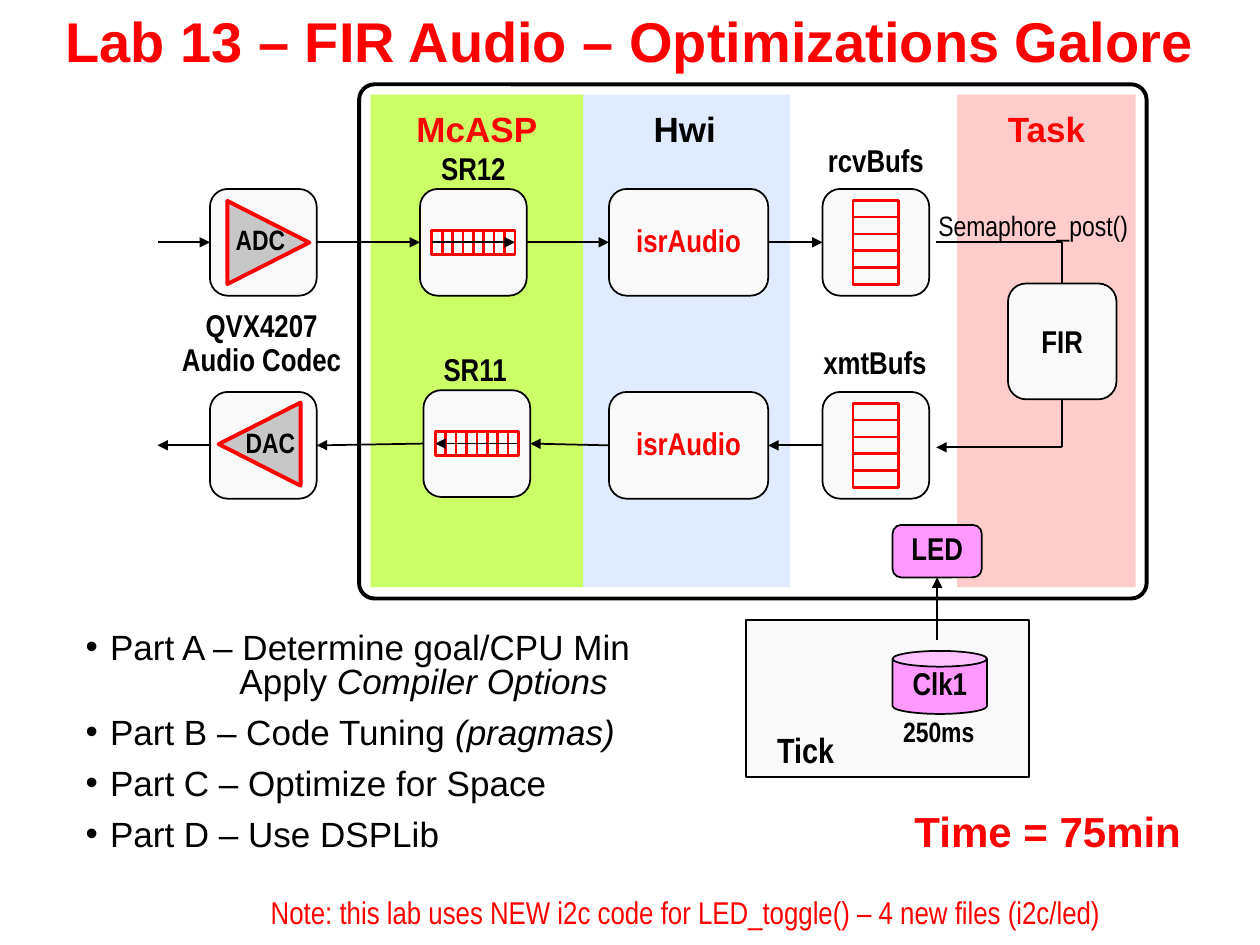
"""Build the Lab 13 slide: an audio FIR signal chain with its task list."""
from pptx import Presentation
from pptx.dml.color import RGBColor
from pptx.enum.shapes import MSO_CONNECTOR as Link, MSO_SHAPE as Shape
from pptx.enum.text import MSO_ANCHOR as Anchor, PP_ALIGN as Align
from pptx.oxml.ns import qn
from pptx.util import Pt
from lxml.etree import SubElement

BLACK = RGBColor(0x00, 0x00, 0x00)
WHITE = RGBColor(0xFF, 0xFF, 0xFF)
RED = RGBColor(0xFF, 0x00, 0x00)
PALE = RGBColor(0xF9, 0xF9, 0xF9)
GREY = RGBColor(0xC7, 0xC7, 0xC7)
PINK = RGBColor(0xFF, 0x99, 0xFF)
ROSE = RGBColor(0xFF, 0xCC, 0xCC)
SKY = RGBColor(0xE0, 0xEB, 0xFF)
LIME = RGBColor(0xCC, 0xFF, 0x66)
WIDE, NARROW = "Arial", "Arial Narrow"

BLOCK = 61
LABEL_WIDTH = 120
BAND_TOP, BAND_HEIGHT = 54, 281.5
BANDS = [("Task", 547, 102, ROSE, RED), ("Hwi", 331, 120.5, SKY, BLACK),
         ("McASP", 211.8, 121.5, LIME, RED)]
BLOCKS = {
    "adc": (120, 108, BLOCK, ""), "sr12": (240, 108, BLOCK, ""),
    "receive": (348, 108, 91, "isrAudio"), "rcvBufs": (470, 108, BLOCK, ""),
    "dac": (120, 224, BLOCK, ""), "sr11": (242, 223, BLOCK, ""),
    "transmit": (348, 224, 91, "isrAudio"), "xmtBufs": (470, 224, BLOCK, ""),
}
TRIANGLES = [(129.6, 115.2, 90), (124.6, 230.4, 270)]
REGISTERS = [("sr12", False), ("sr11", True)]
BUFFERS = ["rcvBufs", "xmtBufs"]
CHAIN = [("adc", "sr12"), ("sr12", "receive"), ("receive", "rcvBufs"),
         ("xmtBufs", "transmit"), ("transmit", "sr11"), ("sr11", "dac")]
LABELS = [("SR12", 270.5, 88.5), ("rcvBufs", 500.5, 84.3), ("SR11", 271.5, 203.8),
          ("xmtBufs", 500, 199.5), ("QVX4207\nAudio Codec", 149.5, 188)]
NOTES = [
    ("ADC", 127.5, 127.5, 43, 22, 0.8, NARROW, 16, BLACK, True),
    ("DAC", 133.2, 243.4, 43, 22, 0.8, NARROW, 16, BLACK, True),
    ("Semaphore_post()", 529.2, 122.4, 124, 19.5, 0.6, NARROW, 16, BLACK, False),
    ("Tick", 437, 417.6, 47.5, 26.6, 0.8, NARROW, 20, BLACK, True),
    ("250ms", 509, 408.2, 55.4, 23, 0.8, NARROW, 16, BLACK, True),
    ("Time = 75min", 515.5, 462.2, 168.5, 30.2, 0.8, WIDE, 24, RED, True),
    ("Note: this lab uses NEW i2c code for LED_toggle() – 4 new files (i2c/led)",
     147.6, 511.2, 494.6, 24.5, 0.8, NARROW, 18, RED, False),
]
PARTS = [
    [("Part A – Determine goal/CPU Min", False), ("\n", False),
     ("\tApply ", False), ("Compiler Options", True)],
    [("Part B – Code Tuning ", False), ("(pragmas)", True)],
    [("Part C – Optimize for Space", False)],
    [("Part D – Use DSPLib", False)],
]

deck = Presentation()
deck.slide_width, deck.slide_height = Pt(720), Pt(540)
page = deck.slides.add_slide(deck.slide_layouts[6])


def apply(target, values):
    for name, value in values.items():
        setattr(target, name, value)


def write(box, text, size, color, name=NARROW, bold=True, spacing=0.9,
          align=Align.CENTER, anchor=Anchor.MIDDLE, top=3.6):
    frame = box.text_frame
    apply(frame, {"word_wrap": False, "vertical_anchor": anchor,
                  "margin_top": Pt(top), "margin_bottom": Pt(top)})
    frame.text = text
    for para in frame.paragraphs:
        apply(para, {"alignment": align, "line_spacing": spacing})
        apply(para.font, {"name": name, "size": Pt(size), "bold": bold})
        para.font.color.rgb = color


def add_shape(kind, left, top, width, height, fill, line=BLACK, weight=1):
    shape = page.shapes.add_shape(kind, Pt(left), Pt(top), Pt(width), Pt(height))
    shape.shadow.inherit = False
    shape.fill.solid()
    shape.fill.fore_color.rgb = fill
    if line is None:
        shape.line.fill.background()
    else:
        shape.line.color.rgb = line
        shape.line.width = Pt(weight)
    return shape


def add_text(left, top, width, height, *args, **options):
    box = page.shapes.add_textbox(Pt(left), Pt(top), Pt(width), Pt(height))
    write(box, *args, **options)


def add_line(x1, y1, x2, y2, color=BLACK, weight=1, arrow=True):
    line = page.shapes.add_connector(Link.STRAIGHT, Pt(x1), Pt(y1), Pt(x2), Pt(y2))
    line.line.color.rgb = color
    line.line.width = Pt(weight)
    outline = line.element.spPr
    if arrow:
        SubElement(outline.find(qn("a:ln")), qn("a:tailEnd"), type="triangle")
    SubElement(outline, qn("a:effectLst"))
    return line


def add_cells(name, width, height, count, across):
    block_left, block_top = BLOCKS[name][:2]
    left, top = block_left + (BLOCK - width) / 2, block_top + (BLOCK - height) / 2
    add_shape(Shape.RECTANGLE, left, top, width, height, PALE, RED, 1.5)
    for step in range(1, count):
        if across:
            x = left + width * step / count
            ends = (x, top, x, top + height)
        else:
            y = top + height * step / count
            ends = (left, y, left + width, y)
        add_line(*ends, RED, 1.5, False)
    return left, top + height / 2


add_shape(Shape.RECTANGLE, 426.2, 354.2, 162, 90, PALE)
add_text(0, 0, 720, 58.3, "Lab 13 – FIR Audio – Optimizations Galore", 32, RED,
         WIDE, spacing=1, anchor=Anchor.TOP)
board = add_shape(Shape.ROUNDED_RECTANGLE, 205.2, 48.2, 450, 293.8, WHITE, weight=2.25)
board.adjustments[0] = 0.03
for text, left, width, fill, color in BANDS:
    band = add_shape(Shape.RECTANGLE, left, BAND_TOP, width, BAND_HEIGHT, fill, None)
    write(band, text, 20, color, WIDE, spacing=1, anchor=Anchor.TOP, top=7.2)

blocks = {}
for name, (left, top, width, text) in BLOCKS.items():
    blocks[name] = add_shape(Shape.ROUNDED_RECTANGLE, left, top, width, BLOCK, PALE)
    if text:
        write(blocks[name], text, 18, RED)
for left, top, turn in TRIANGLES:
    triangle = add_shape(Shape.ISOSCELES_TRIANGLE, left, top, 47.5, 46.8, GREY, RED, 2.25)
    triangle.rotation = turn
for name, backward in REGISTERS:
    left, middle = add_cells(name, 47.5, 13.7, 8, True)
    start, end = (left + 47.5, left) if backward else (left, left + 47.5)
    add_line(start, middle, end, middle)
for name in BUFFERS:
    add_cells(name, 26, 48, 5, False)

for source, target in CHAIN:
    forward = BLOCKS[source][0] < BLOCKS[target][0]
    link = add_line(0, 0, 1, 1)
    link.begin_connect(blocks[source], 3 if forward else 1)
    link.end_connect(blocks[target], 1 if forward else 3)
add_line(90, 138.5, 120, 138.5).end_connect(blocks["adc"], 1)
add_line(120, 254.5, 90, 254.5).begin_connect(blocks["dac"], 1)

add_line(535, 138.2, 607, 138.2, arrow=False)
add_line(607, 138.2, 607, 255.6, arrow=False)
add_line(607, 255.6, 535, 255.6)
fir = add_shape(Shape.ROUNDED_RECTANGLE, 576, 162, 62, 66.2, PALE)
write(fir, "FIR", 18, BLACK, spacing=1)
led = add_shape(Shape.ROUNDED_RECTANGLE, 510, 300, 51, 30, PINK)
write(led, "LED", 18, BLACK, spacing=0.8)
clock = add_shape(Shape.CAN, 510, 372, 54, 36, PINK)
write(clock, "Clk1", 18, BLACK, spacing=0.8)
add_line(535.5, 366, 535.5, 330).end_connect(led, 2)

for text, center, top in LABELS:
    add_text(center - LABEL_WIDTH / 2, top, LABEL_WIDTH, 17.3, text, 18, BLACK)
for text, left, top, width, height, spacing, name, size, color, bold in NOTES:
    add_text(left, top, width, height, text, size, color, name, bold, spacing,
             Align.LEFT, Anchor.TOP)

plan = page.shapes.add_textbox(Pt(41.8), Pt(358.6), Pt(328.3), Pt(140.4)).text_frame
plan.word_wrap = False
for number, part in enumerate(PARTS):
    para = plan.add_paragraph() if number else plan.paragraphs[0]
    layout = para._p.get_or_add_pPr()
    apply(para, {"line_spacing": 0.8, "space_before": Pt(10 if number else 0)})
    layout.set("marL", str(Pt(14)))
    layout.set("indent", str(-Pt(14)))
    SubElement(layout, qn("a:buFont"), typeface=WIDE)
    SubElement(layout, qn("a:buChar"), char="•")
    SubElement(SubElement(layout, qn("a:tabLst")), qn("a:tab"), pos=str(Pt(88)), algn="l")
    apply(para.font, {"name": WIDE, "size": Pt(20)})
    para.font.color.rgb = BLACK
    for text, italic in part:
        if text == "\n":
            para.add_line_break()
            continue
        span = para.add_run()
        span.text = text
        span.font.italic = italic

deck.save("out.pptx")
